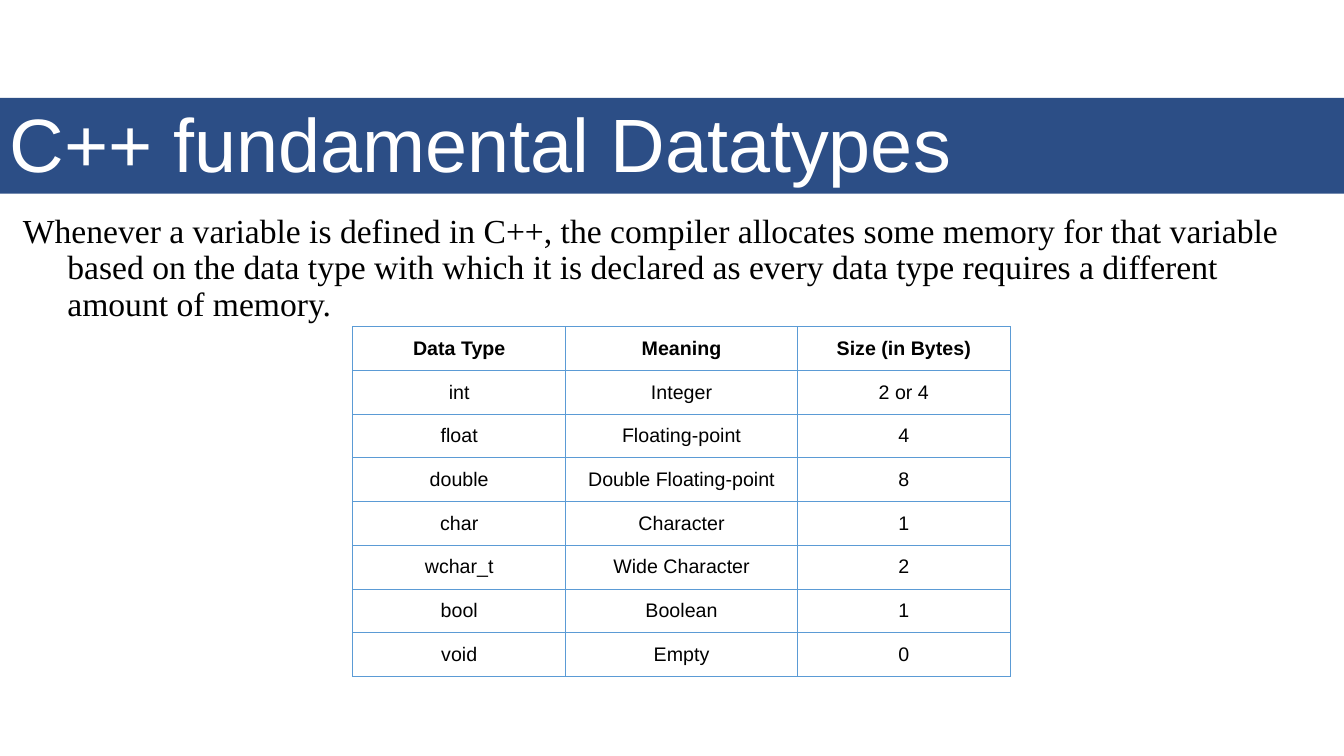
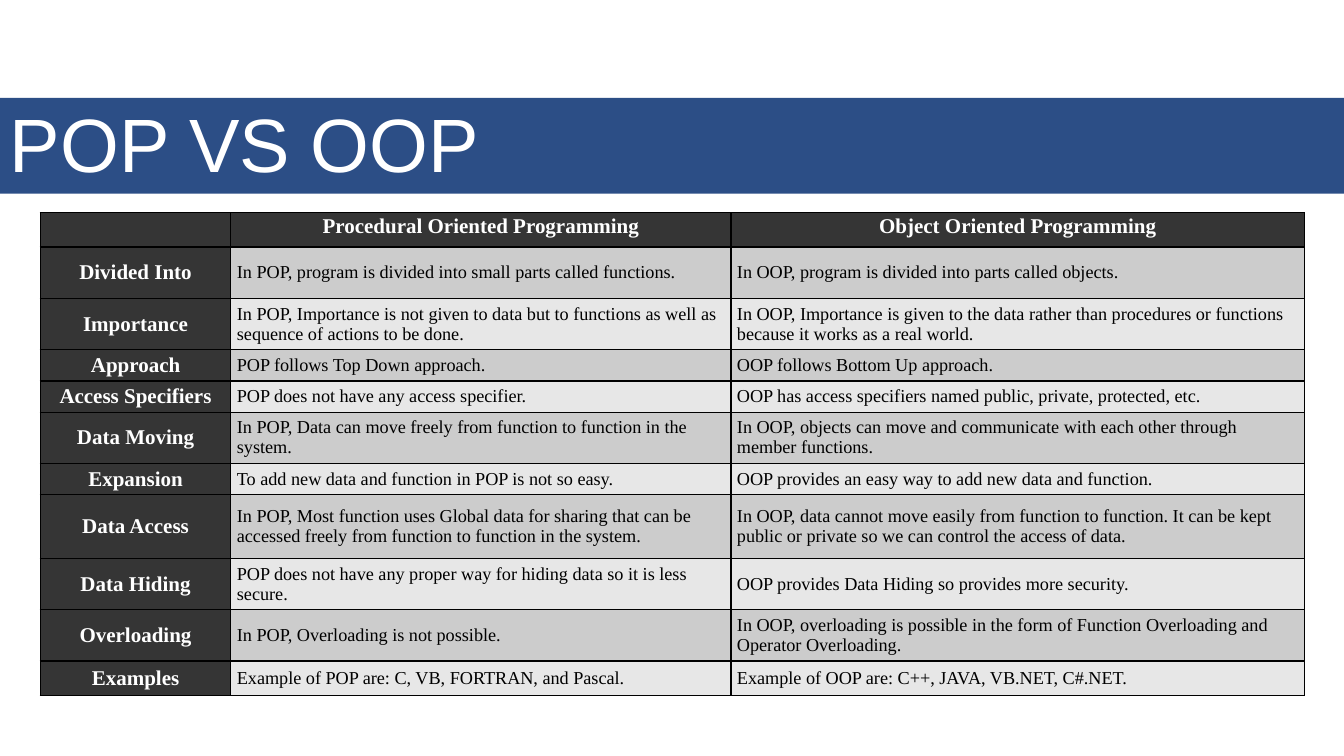
import dataclasses
import pptx
import pptx.util
import pptx.dml.color
import pptx.enum.shapes
import pptx.enum.text
import pptx.oxml
import pptx.oxml.ns

Inches = pptx.util.Inches
Pt = pptx.util.Pt
Align = pptx.enum.text.PP_ALIGN
Anchor = pptx.enum.text.MSO_ANCHOR


@dataclasses.dataclass(frozen=True)
class Theme:
    """Colours, fonts and type sizes of the deck."""
    band: str = "2C4E86"
    white: str = "FFFFFF"
    black: str = "000000"
    rule: str = "5B9BD5"
    dark: str = "353535"
    odd: str = "CCCCCC"
    even: str = "E7E7E7"
    sans: str = "Arial"
    serif: str = "Times New Roman"
    title: int = 54
    lead: int = 24
    label: int = 15
    small: int = 14
    body: int = 13


THEME = Theme()

TYPES = [
    ("Data Type", "Meaning", "Size (in Bytes)"),
    ("int", "Integer", "2 or 4"),
    ("float", "Floating-point", "4"),
    ("double", "Double Floating-point", "8"),
    ("char", "Character", "1"),
    ("wchar_t", "Wide Character", "2"),
    ("bool", "Boolean", "1"),
    ("void", "Empty", "0"),
]

STYLES = [
    ("", "Procedural Oriented Programming", "Object Oriented Programming"),
    ("Divided Into",
     "In POP, program is divided into small parts called functions.",
     "In OOP, program is divided into parts called objects."),
    ("Importance",
     "In POP, Importance is not given to data but to functions as well "
     "as sequence of actions to be done.",
     "In OOP, Importance is given to the data rather than procedures or "
     "functions because it works as a real world."),
    ("Approach",
     "POP follows Top Down approach.",
     "OOP follows Bottom Up approach."),
    ("Access Specifiers",
     "POP does not have any access specifier.",
     "OOP has access specifiers named public, private, protected, etc."),
    ("Data Moving",
     "In POP, Data can move freely from function to function in the system.",
     "In OOP, objects can move and communicate with each other through "
     "member functions."),
    ("Expansion",
     "To add new data and function in POP is not so easy.",
     "OOP provides an easy way to add new data and function."),
    ("Data Access",
     "In POP, Most function uses Global data for sharing that can be "
     "accessed freely from function to function in the system.",
     "In OOP, data cannot move easily from function to function. It can be "
     "kept public or private so we can control the access of data."),
    ("Data Hiding",
     "POP does not have any proper way for hiding data so it is less secure.",
     "OOP provides Data Hiding so provides more security."),
    ("Overloading",
     "In POP, Overloading is not possible.",
     "In OOP, overloading is possible in the form of Function Overloading "
     "and Operator Overloading."),
    ("Examples",
     "Example of POP are: C, VB, FORTRAN, and Pascal.",
     "Example of OOP are: C++, JAVA, VB.NET, C#.NET."),
]


def rgb(code):
    """Turn a hex code into a colour."""
    return pptx.dml.color.RGBColor.from_string(code)


def write(para, text, font, size, color, bold=False):
    """Add one styled run to a paragraph."""
    run = para.add_run()
    run.text = text
    run.font.name = font
    run.font.size = Pt(size)
    run.font.color.rgb = rgb(color)
    run.font.bold = bold


def add_band(slide, text):
    """Draw the full-width title band."""
    band = slide.shapes.add_shape(
        pptx.enum.shapes.MSO_SHAPE.RECTANGLE,
        Inches(0), Inches(0.97), Inches(13.33), Inches(0.95))
    band.shadow.inherit = False
    band.fill.solid()
    band.fill.fore_color.rgb = rgb(THEME.band)
    band.line.fill.background()
    frame = band.text_frame
    frame.word_wrap = True
    frame.vertical_anchor = Anchor.BOTTOM
    para = frame.paragraphs[0]
    para.alignment = Align.LEFT
    para.line_spacing = 0.9
    write(para, text, THEME.sans, THEME.title, THEME.white)


def add_lead(slide, text):
    """Add the opening paragraph with a hanging indent."""
    box = slide.shapes.add_textbox(
        Inches(0.07), Inches(2.08), Inches(12.94), Inches(1.16))
    box.text_frame.word_wrap = True
    para = box.text_frame.paragraphs[0]
    para.line_spacing = 0.9
    para.space_before = Pt(10)
    props = para._p.get_or_add_pPr()
    props.set("marL", str(Inches(0.5)))
    props.set("indent", str(Inches(-0.44)))
    write(para, text, THEME.serif, THEME.lead, THEME.black)


def add_edges(cell, color, width):
    """Rule all four sides of a cell."""
    props = cell._tc.get_or_add_tcPr()
    for spot, side in enumerate("LRTB"):
        edge = pptx.oxml.parse_xml(
            f'<a:ln{side} {pptx.oxml.ns.nsdecls("a")} w="{Pt(width)}">'
            f'<a:solidFill><a:srgbClr val="{color}"/></a:solidFill>'
            f'</a:ln{side}>')
        props.insert(spot, edge)


def add_grid(slide, left, top, cols, rows, data, style):
    """Add a table and let style dress each cell."""
    table = slide.shapes.add_table(
        len(rows), len(cols), Inches(left), Inches(top),
        Inches(sum(cols)), Inches(sum(rows))).table
    table.first_row = False
    table.horz_banding = False
    for col, width in zip(table.columns, cols):
        col.width = Inches(width)
    for row, height in zip(table.rows, rows):
        row.height = Inches(height)
    for r, line in enumerate(data):
        for c, text in enumerate(line):
            style(table.cell(r, c), text, r, c)


def set_cell(cell, pad, fill, anchor, align):
    """Set the padding, fill and alignment of a cell."""
    cell.margin_left = cell.margin_right = Inches(pad[0])
    cell.margin_top = cell.margin_bottom = Inches(pad[1])
    cell.vertical_anchor = anchor
    if fill:
        cell.fill.solid()
        cell.fill.fore_color.rgb = rgb(fill)
    else:
        cell.fill.background()
    para = cell.text_frame.paragraphs[0]
    para.alignment = align
    return para


def plain(cell, text, r, c):
    """Dress a cell of the datatype table."""
    para = set_cell(cell, (0.2, 0.1), None, Anchor.MIDDLE, Align.CENTER)
    write(para, text, THEME.sans, THEME.small, THEME.black, r == 0)
    add_edges(cell, THEME.rule, 0.75)


def banded(cell, text, r, c):
    """Dress a cell of the comparison table."""
    head = r == 0 or c == 0
    fill = THEME.dark if head else THEME.odd if r % 2 else THEME.even
    para = set_cell(cell, (0.06, 0.02), fill,
                    Anchor.MIDDLE if r else Anchor.TOP,
                    Align.CENTER if head else Align.LEFT)
    if text:
        write(para, text, THEME.serif,
              THEME.label if head else THEME.body,
              THEME.white if head else THEME.black, head)
    add_edges(cell, THEME.black, 1)


def add_page(deck, title):
    """Add a blank slide with its title band."""
    slide = deck.slides.add_slide(deck.slide_layouts[6])
    add_band(slide, title)
    return slide


def main():
    """Build and save the deck."""
    deck = pptx.Presentation()
    deck.slide_width = Inches(13.33)
    deck.slide_height = Inches(7.5)

    page = add_page(deck, "C++ fundamental Datatypes")
    add_lead(page, "Whenever a variable is defined in C++, the compiler "
                   "allocates some memory for that variable based on the "
                   "data type with which it is declared as every data type "
                   "requires a different amount of memory.")
    add_grid(page, 3.5, 3.24, (2.11, 2.3, 2.11), [0.42] * len(TYPES),
             TYPES, plain)

    page = add_page(deck, "POP VS OOP")
    tall, short, edge = 0.51, 0.31, 0.34
    rows = (edge, tall, tall, short, short, tall, short, 0.63, tall, tall, edge)
    add_grid(page, 0.4, 2.11, (1.89, 4.96, 5.69), rows, STYLES, banded)

    deck.save("out.pptx")


if __name__ == "__main__":
    main()
